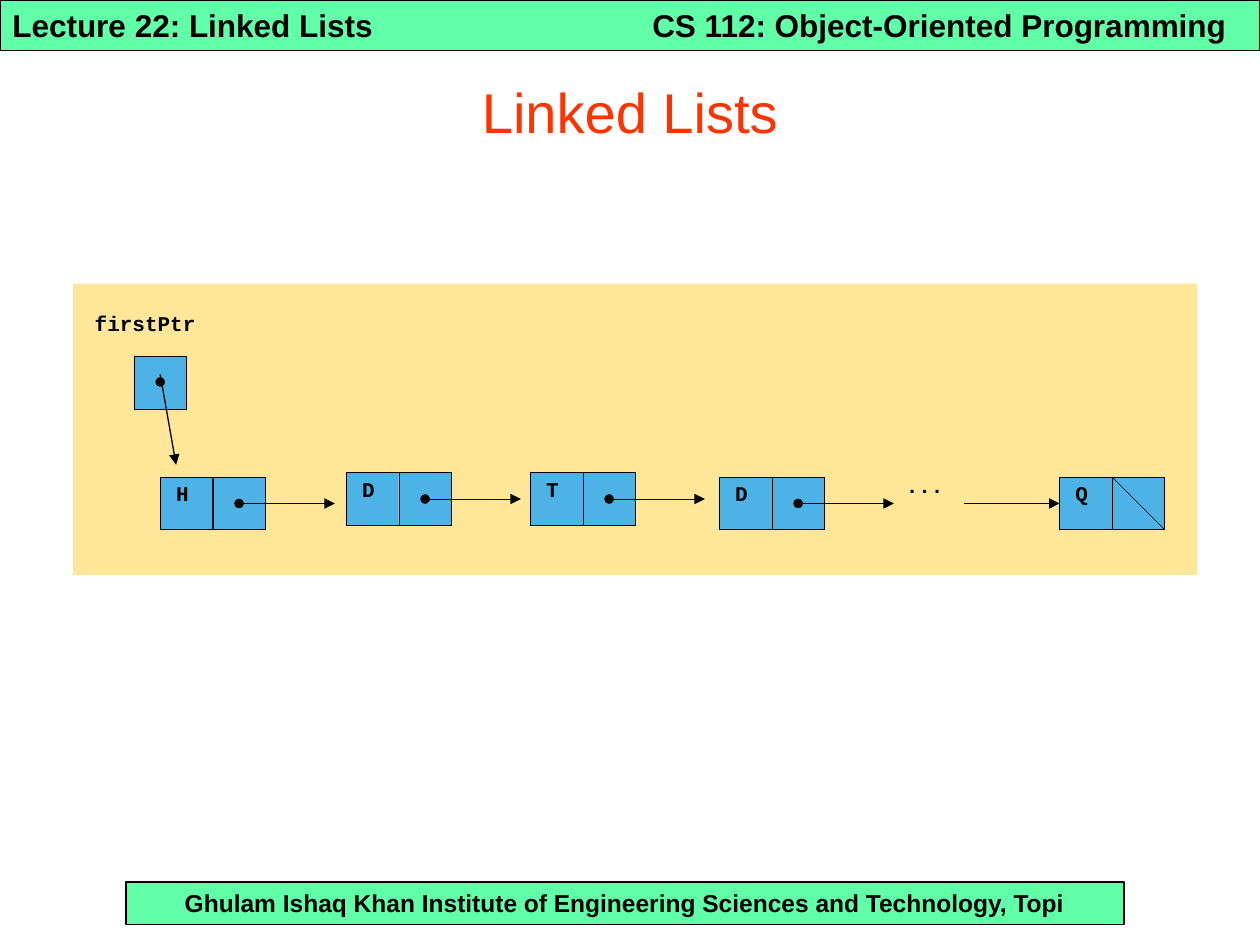
from lxml import etree
from pptx import Presentation
from pptx.dml.color import RGBColor
from pptx.enum.shapes import MSO_CONNECTOR, MSO_SHAPE
from pptx.enum.text import MSO_ANCHOR, PP_ALIGN
from pptx.oxml.ns import qn
from pptx.util import Cm, Pt

STRAIGHT = MSO_CONNECTOR.STRAIGHT
RECTANGLE, OVAL = MSO_SHAPE.RECTANGLE, MSO_SHAPE.OVAL
TOP, MIDDLE = MSO_ANCHOR.TOP, MSO_ANCHOR.MIDDLE
LEFT, CENTER = PP_ALIGN.LEFT, PP_ALIGN.CENTER

BLACK = RGBColor(0x00, 0x00, 0x00)
MINT = RGBColor(0x61, 0xFF, 0xA8)
ORANGE_RED = RGBColor(0xFF, 0x33, 0x00)
SAND = RGBColor(0xFF, 0xE6, 0x99)
SKY = RGBColor(0x4D, 0xB3, 0xE6)

CELL = 1.06
DOT = 0.18
ARROW = 1.93
NODES = [("H", 3.23, 9.62), ("D", 6.98, 9.53), ("T", 10.69, 9.53), ("D", 14.5, 9.62), ("Q", 21.36, 9.62)]

deck = Presentation()
deck.slide_width, deck.slide_height = Cm(25.4), Cm(19.05)
page = deck.slides.add_slide(deck.slide_layouts[6])


def add_text(text, left, top, width, height, size=12, font="Courier New", color=BLACK, bold=True,
             align=LEFT, anchor=TOP, inset=(0, 0), spacing=0.72, fill=None):
    if fill is None:
        box = page.shapes.add_textbox(Cm(left), Cm(top), Cm(width), Cm(height))
    else:
        box = add_block(RECTANGLE, left, top, width, height, fill, 0.75)
    frame = box.text_frame
    frame.word_wrap = True
    frame.vertical_anchor = anchor
    frame.margin_left = frame.margin_right = Cm(inset[0])
    frame.margin_top = frame.margin_bottom = Cm(inset[1])
    para = frame.paragraphs[0]
    para.alignment = align
    para.line_spacing = spacing
    span = para.add_run()
    span.text = text
    span.font.size = Pt(size)
    span.font.name = font
    span.font.bold = bold
    span.font.color.rgb = color


def add_block(kind, left, top, width, height, fill, line=0.25):
    block = page.shapes.add_shape(kind, Cm(left), Cm(top), Cm(width), Cm(height))
    block.shadow.inherit = False
    block.fill.solid()
    block.fill.fore_color.rgb = fill
    if line:
        block.line.color.rgb = BLACK
        block.line.width = Pt(line)
    else:
        block.line.fill.background()
    return block


banner = {"font": "Arial", "inset": (0.25, 0.13), "spacing": 1.0}
add_text("Ghulam Ishaq Khan Institute of Engineering Sciences and Technology, Topi",
         2.54, 17.78, 20.12, 0.86, size=14, align=CENTER, fill=MINT, **banner)
add_text("Lecture 22: Linked Lists", 0, 0, 25.4, 1.02, size=18, fill=MINT, **banner)
add_text("CS 112: Object-Oriented Programming", 12.9, 0, 12.5, 1.02, size=18, **banner)
add_text("Linked Lists", 0, 1.07, 25.4, 2.34, size=32, color=ORANGE_RED, bold=False,
         align=CENTER, anchor=MIDDLE, **banner)

add_block(RECTANGLE, 1.47, 5.72, 22.66, 5.87, SAND, 0)
add_text("firstPtr", 1.91, 6.4, 2.67, 0.76)
add_text("...", 18.26, 9.65, 1.07, 0.76)

lines = [(3.23, 7.55, 3.55, 9.37, 0.75, True, None)]
dots = [(3.23, 7.7)]
add_block(RECTANGLE, 2.7, 7.19, CELL, CELL, SKY)

for letter, left, top in NODES:
    data_cell = add_block(RECTANGLE, left, top, CELL, CELL, SKY)
    add_block(RECTANGLE, left + CELL, top, CELL, CELL, SKY)
    add_text(letter, left + 0.32, top + 0.2, 0.43, 0.76)
    middle = top + CELL / 2
    if letter == "Q":
        lines.append((left - ARROW, middle, left, middle, 0.25, True, data_cell))
        lines.append((left + CELL, top, left + 2 * CELL, top + CELL, 0.25, False, None))
    else:
        start = left + 1.5 * CELL
        dots.append((start, middle))
        lines.append((start, middle, start + ARROW, middle, 0.25, True, None))

for x, y in dots:
    add_block(OVAL, x - DOT / 2, y - DOT / 2, DOT, DOT, BLACK)

for x1, y1, x2, y2, width, has_head, target in lines:
    link = page.shapes.add_connector(STRAIGHT, Cm(x1), Cm(y1), Cm(x2), Cm(y2))
    if target is not None:
        link.end_connect(target, 1)
    link.line.color.rgb = BLACK
    link.line.width = Pt(width)
    if has_head:
        etree.SubElement(link.line._get_or_add_ln(), qn("a:tailEnd"), type="triangle")
    etree.SubElement(link._element.spPr, qn("a:effectLst"))

deck.save("out.pptx")
